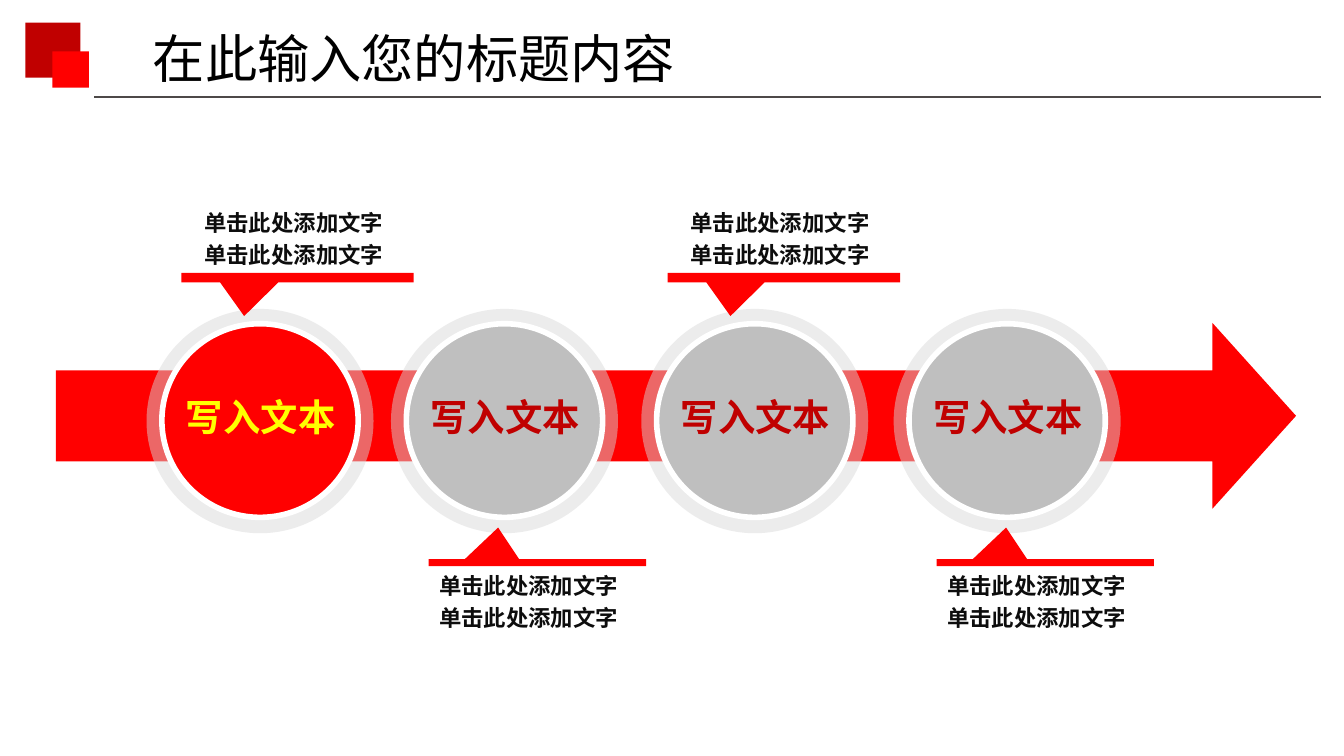
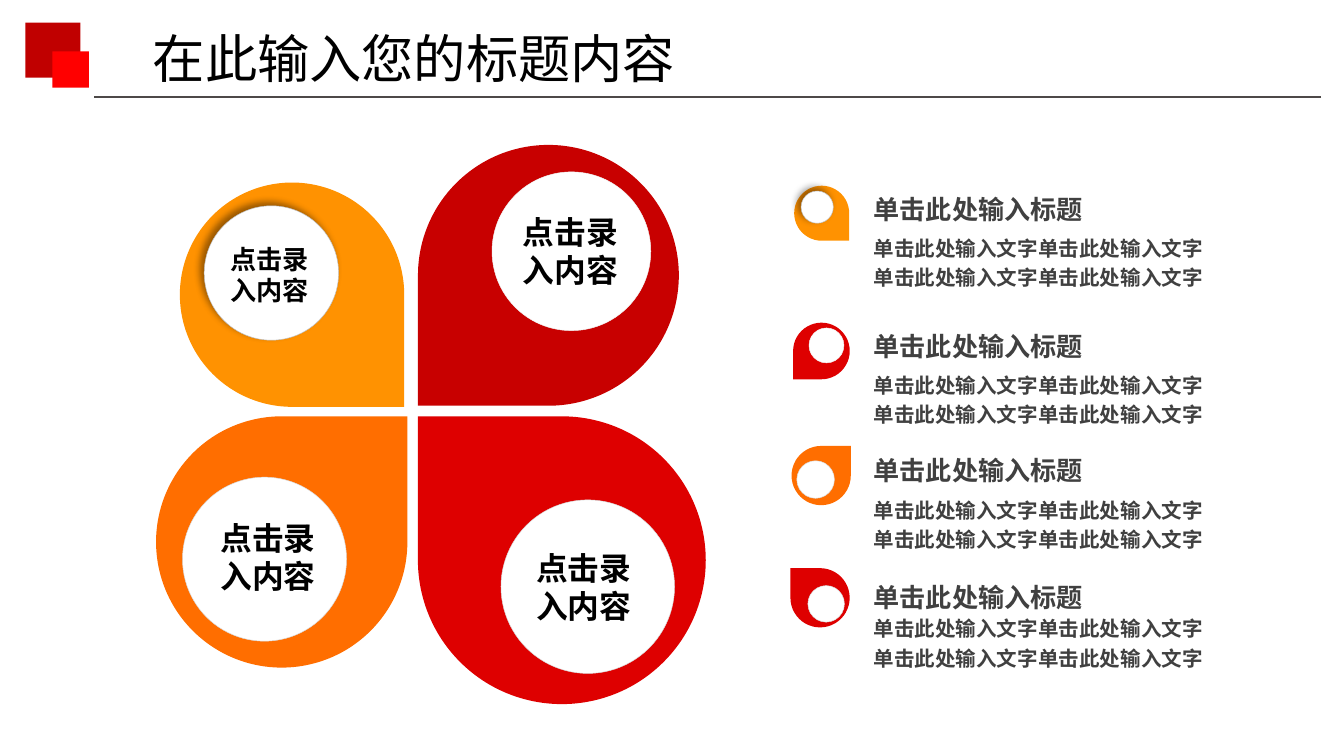
from lxml import etree
from pptx import Presentation
from pptx.dml.color import RGBColor
from pptx.enum.shapes import MSO_CONNECTOR, MSO_SHAPE
from pptx.enum.text import MSO_ANCHOR, MSO_AUTO_SIZE, PP_ALIGN
from pptx.oxml import parse_xml
from pptx.oxml.ns import nsdecls, qn
from pptx.util import Cm, Pt

FONT = "Noto Sans CJK SC"
RED = RGBColor(0xFF, 0x00, 0x00)
DARK = RGBColor(0xC0, 0x00, 0x00)
CRIMSON = RGBColor(0xDE, 0x00, 0x00)
WINE = RGBColor(0xC8, 0x00, 0x00)
AMBER = RGBColor(0xFF, 0x92, 0x01)
ORANGE = RGBColor(0xFF, 0x6E, 0x00)
YELLOW = RGBColor(0xFF, 0xFF, 0x00)
WHITE = RGBColor(0xFF, 0xFF, 0xFF)
BLACK = RGBColor(0x00, 0x00, 0x00)
INK = RGBColor(0x0D, 0x0D, 0x0D)
TEXT = RGBColor(0x40, 0x40, 0x40)
RULE = RGBColor(0x4D, 0x49, 0x48)
GREY = RGBColor(0xBF, 0xBF, 0xBF)
HALO = RGBColor(0xD8, 0xD8, 0xD8)
MIST = RGBColor(0xD9, 0xD9, 0xD9)
PALE = RGBColor(0xF2, 0xF2, 0xF2)

TITLE = "在此输入您的标题内容"
LABEL = "点击录\n入内容"
NOTE = "\n".join(["单击此处添加文字"] * 2)
BODY = "\n".join(["单击此处输入文字单击此处输入文字"] * 2)


class Deck:
    def __init__(self):
        self.prs = Presentation()
        self.prs.slide_width = Cm(25.4)
        self.prs.slide_height = Cm(14.29)

    def page(self):
        """Start a slide with the corner squares, the rule and the title."""
        self.slide = self.prs.slides.add_slide(self.prs.slide_layouts[6])
        self.loose()
        self.shape(MSO_SHAPE.RECTANGLE, 0.48, 0.43, 1.04, 1.04, DARK)
        self.shape(MSO_SHAPE.RECTANGLE, 0.99, 0.97, 0.69, 0.69, RED)
        self.rule(24.97, 1.78, 1.83)
        self.text(TITLE, 2.64, 0.38, 10.77, 1.45, 28, BLACK, bold=False)

    def loose(self):
        """Draw straight on the slide again."""
        self.shapes = self.slide.shapes

    def group(self):
        """Draw into a new group until loose() is called."""
        self.shapes = self.slide.shapes.add_group_shape().shapes

    def rule(self, start, end, y):
        line = self.shapes.add_connector(
            MSO_CONNECTOR.STRAIGHT, Cm(start), Cm(y), Cm(end), Cm(y))
        line.line.color.rgb = RULE
        line.line.width = Pt(0.75)
        etree.SubElement(line._element.spPr, qn("a:effectLst"))

    def shape(self, kind, x, y, w, h, fill, line=None, width=0.25,
              turn=0, flip=False, adjust=()):
        item = self.shapes.add_shape(kind, Cm(x), Cm(y), Cm(w), Cm(h))
        item.shadow.inherit = False
        item.fill.solid()
        item.fill.fore_color.rgb = fill
        if line is None:
            item.line.fill.background()
        else:
            item.line.color.rgb = line
            item.line.width = Pt(width)
        item.rotation = turn
        if flip:
            item._element.spPr.find(qn("a:xfrm")).set("flipH", "1")
        for index, value in enumerate(adjust):
            item.adjustments[index] = value
        return item

    def fade(self, item, percent):
        """Make a solid fill partly see-through."""
        color = item._element.spPr.find(qn("a:solidFill"))[0]
        etree.SubElement(color, qn("a:alpha")).set("val", str(percent * 1000))

    def shade(self, item):
        """Cast a soft shadow to the upper left."""
        item._element.spPr.find(qn("a:effectLst")).append(parse_xml(
            f'<a:outerShdw {nsdecls("a")} blurRad="{Pt(4)}" dist="{Pt(3)}" '
            'dir="13500000" algn="ctr" rotWithShape="0"><a:srgbClr val="000000">'
            '<a:alpha val="40000"/></a:srgbClr></a:outerShdw>'))

    def text(self, words, x, y, w, h, size, color, bold=True, align=None,
             space=None, wrap=True, grow=True, middle=False):
        box = self.shapes.add_textbox(Cm(x), Cm(y), Cm(w), Cm(h))
        frame = box.text_frame
        frame.text = words
        frame.word_wrap = wrap
        if grow:
            frame.auto_size = MSO_AUTO_SIZE.SHAPE_TO_FIT_TEXT
        if middle:
            frame.vertical_anchor = MSO_ANCHOR.MIDDLE
            frame.margin_left = frame.margin_right = 0
            frame.margin_top = frame.margin_bottom = 0
        for para in frame.paragraphs:
            para.alignment = align
            para.line_spacing = space
            font = para.font
            font.name, font.size, font.bold = FONT, Pt(size), bold
            font.color.rgb = color

    def stage(self, x, fill, color):
        """Draw one ringed circle of the process with its label."""
        self.group()
        ring = self.shape(MSO_SHAPE.OVAL, x, 5.84, 4.29, 4.24, HALO)
        self.fade(ring, 48)
        self.shape(MSO_SHAPE.OVAL, x + 0.29, 6.12, 3.71, 3.66, fill, WHITE, 3)
        self.text("写入文本", x - 0.2, 7.32, 4.72, 1.5, 20, color,
                  align=PP_ALIGN.CENTER, grow=False)
        self.loose()

    def callout(self, x, y, w, h, adjust, shift, top):
        """Draw a pointed bar and the note beside it."""
        self.shape(MSO_SHAPE.RECTANGULAR_CALLOUT, x, y, w, h, RED, adjust=adjust)
        self.text(NOTE, x + shift, top, 4.09, 1.63, 12, INK, space=1.2)

    def petal(self, drop, hole, fill, edge, turn, flip, label=None):
        """Draw a teardrop with a round hole; drop and hole are x, y, size."""
        self.group()
        for kind, (x, y, size), color, line in (
                (MSO_SHAPE.TEAR, drop, fill, None),
                (MSO_SHAPE.OVAL, hole, WHITE, edge)):
            item = self.shape(kind, x, y, size, size, color, line,
                              turn=turn, flip=flip)
        if edge == GREY:
            self.shade(item)
        if label:
            self.text(LABEL, *label, BLACK, align=PP_ALIGN.CENTER, wrap=False)
        self.loose()

    def entry(self, head, body):
        """Write a heading and its text at the given heights."""
        self.text(BODY, 16.26, body, 9.04, 2.01, 11, TEXT, space=1.2)
        self.text("单击此处输入标题", 16.51, head, 6.93, 0.99, 14, TEXT,
                  space=1.2, grow=False, middle=True)


def process(deck):
    deck.page()
    deck.shape(MSO_SHAPE.DOWN_ARROW, 11.02, -3.86, 3.51, 23.44, RED,
               turn=270, adjust=(0.49, 0.45))
    deck.stage(2.77, RED, YELLOW)
    for x in (7.39, 12.12, 16.89):
        deck.stage(x, GREY, DARK)
    for x in (3.43, 12.62):
        deck.callout(x, 5.16, 4.39, 0.18, (-0.23, 4.03), 0.18, 3.73)
    for x in (8.1, 17.7):
        deck.callout(x, 10.57, 4.11, 0.13, (-0.18, -5.1), -0.05, 10.59)


def petals(deck):
    deck.page()
    # Edge colour, turn and flip for each direction of the point
    upper = (MIST, 0, False)
    left = (MIST, 0, True)
    lower = (GREY, 180, True)
    base = (PALE, 270, True)

    big = (
        ((2.95, 7.87, 4.75), (3.45, 9.02, 3.1), ORANGE, upper,
         (3.86, 9.68, 2.41, 1.73, 17)),
        ((7.9, 7.87, 5.44), (9.47, 9.45, 3.28), CRIMSON, left,
         (9.83, 10.24, 2.41, 1.73, 17)),
        ((3.4, 3.45, 4.24), (3.86, 3.89, 2.54), AMBER, lower,
         (4.09, 4.47, 2.01, 1.45, 14)),
        ((7.9, 2.74, 4.93), (9.3, 3.25, 3), WINE, base,
         (9.58, 3.89, 2.41, 1.73, 17)),
    )
    for drop, hole, fill, pose, label in big:
        deck.petal(drop, hole, fill, *pose, label)

    small = (
        ((15.01, 3.51, 1.04), (15.14, 3.61, 0.61), AMBER, lower, 3.4, 4.24),
        ((14.99, 6.1, 1.07), (15.29, 6.2, 0.66), CRIMSON, base, 5.99, 6.83),
        ((14.96, 8.43, 1.12), (15.06, 8.71, 0.71), ORANGE, upper, 8.33, 9.19),
        ((14.94, 10.74, 1.12), (15.27, 11.07, 0.69), CRIMSON, left, 10.74, 11.43),
    )
    for drop, hole, fill, pose, head, body in small:
        deck.petal(drop, hole, fill, *pose)
        deck.entry(head, body)


def main():
    deck = Deck()
    process(deck)
    petals(deck)
    deck.prs.save("out.pptx")


if __name__ == "__main__":
    main()
